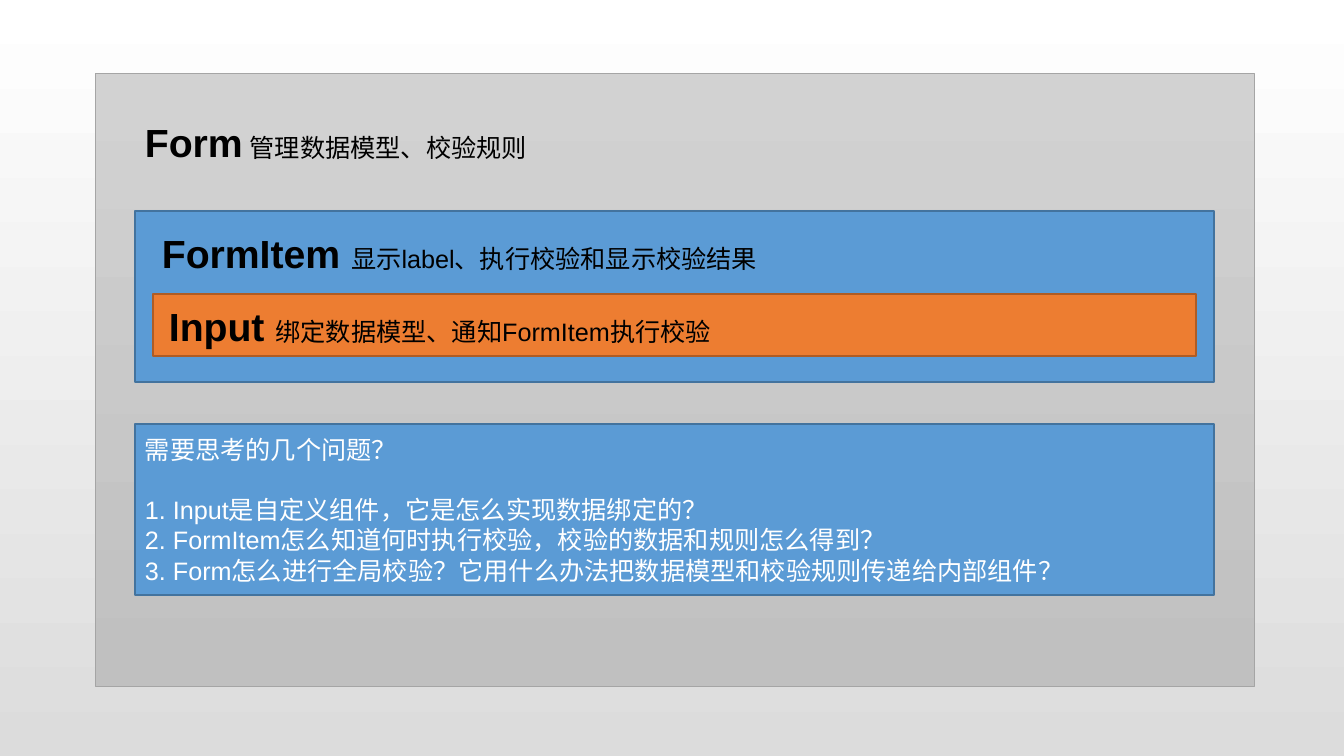
from pptx import Presentation
from pptx.dml.color import RGBColor
from pptx.enum.shapes import MSO_SHAPE
from pptx.enum.text import MSO_ANCHOR, MSO_AUTO_SIZE, PP_ALIGN
from pptx.util import Emu, Pt

EMU_PER_PX = 914400 / 100.8
COLORS = {
    "page_top": "FFFFFF", "page_bottom": "DCDCDC",
    "form_top": "D2D2D2", "form_bottom": "C0C0C0", "form_edge": "A5A5A5",
    "blue": "5B9BD5", "blue_edge": "43739E",
    "orange": "ED7D31", "orange_edge": "AF5C24",
    "ink": "000000", "paper": "FFFFFF",
}
NAME_FORMAT = {"name": "Arial", "size": Pt(28), "bold": True}
BODY_FORMAT = {"name": "Arial", "size": Pt(18), "bold": False}

# label, role, left, top
LEVELS = [
    ("Form", " 管理数据模型、校验规则", 135, 113),
    ("FormItem ", "显示label、执行校验和显示校验结果", 152, 224),
    ("Input ", "绑定数据模型、通知FormItem执行校验", 159, 297),
]
QUESTIONS_TITLE = "需要思考的几个问题？"
QUESTIONS = [
    "1. Input是自定义组件，它是怎么实现数据绑定的？",
    "2. FormItem怎么知道何时执行校验，校验的数据和规则怎么得到？",
    "3. Form怎么进行全局校验？它用什么办法把数据模型和校验规则传递给内部组件？",
]


def px(*lengths):
    """Turn pixel lengths into EMU."""
    return [Emu(round(length * EMU_PER_PX)) for length in lengths]


def color(key):
    """Look up a named colour."""
    return RGBColor.from_string(COLORS[key])


def paint(fill, *keys):
    """Fill with one colour, or with two running from top to bottom."""
    if len(keys) == 1:
        fill.solid()
        fill.fore_color.rgb = color(keys[0])
        return
    fill.gradient()
    fill.gradient_angle = 270
    for stop, key in zip(fill.gradient_stops, keys):
        stop.color.rgb = color(key)


def add_panel(slide, bounds, fills, edge, edge_width=1):
    """Add an outlined rectangle."""
    panel = slide.shapes.add_shape(MSO_SHAPE.RECTANGLE, *px(*bounds))
    panel.shadow.inherit = False
    paint(panel.fill, *fills)
    panel.line.color.rgb = color(edge)
    panel.line.width = Pt(edge_width)
    return panel


def add_run(paragraph, words, ink, formats):
    """Append a run with the given font values."""
    run = paragraph.add_run()
    run.text = words
    run.font.color.rgb = color(ink)
    for attribute, value in formats.items():
        setattr(run.font, attribute, value)


def add_level(slide, label, role, left, top):
    """Add a component's bold name followed by its role."""
    frame = slide.shapes.add_textbox(*px(left, top, 647, 57)).text_frame
    frame.word_wrap = True
    frame.auto_size = MSO_AUTO_SIZE.SHAPE_TO_FIT_TEXT
    heading = frame.paragraphs[0]
    add_run(heading, label, "ink", NAME_FORMAT)
    add_run(heading, role, "ink", BODY_FORMAT)


def add_questions(panel):
    """Write the title and the numbered questions into their panel."""
    frame = panel.text_frame
    frame.word_wrap = True
    frame.vertical_anchor = MSO_ANCHOR.MIDDLE
    for index, words in enumerate([QUESTIONS_TITLE, *QUESTIONS]):
        line = frame.add_paragraph() if index else frame.paragraphs[0]
        line.alignment = PP_ALIGN.LEFT
        if index == 1:
            line.space_before = Pt(21.6)
        add_run(line, words, "paper", BODY_FORMAT)


def main():
    """Build the slide and save it."""
    deck = Presentation()
    deck.slide_width, deck.slide_height = px(1344, 756)
    slide = deck.slides.add_slide(deck.slide_layouts[6])
    paint(slide.background.fill, "page_top", "page_bottom")

    add_panel(slide, (95, 73, 1159, 613), ["form_top", "form_bottom"], "form_edge", 0.5)
    add_panel(slide, (135, 211, 1079, 171), ["blue"], "blue_edge")
    add_panel(slide, (153, 294, 1043, 62), ["orange"], "orange_edge")
    for level in LEVELS:
        add_level(slide, *level)
    add_questions(add_panel(slide, (135, 424, 1079, 171), ["blue"], "blue_edge"))

    deck.save("out.pptx")


main()
